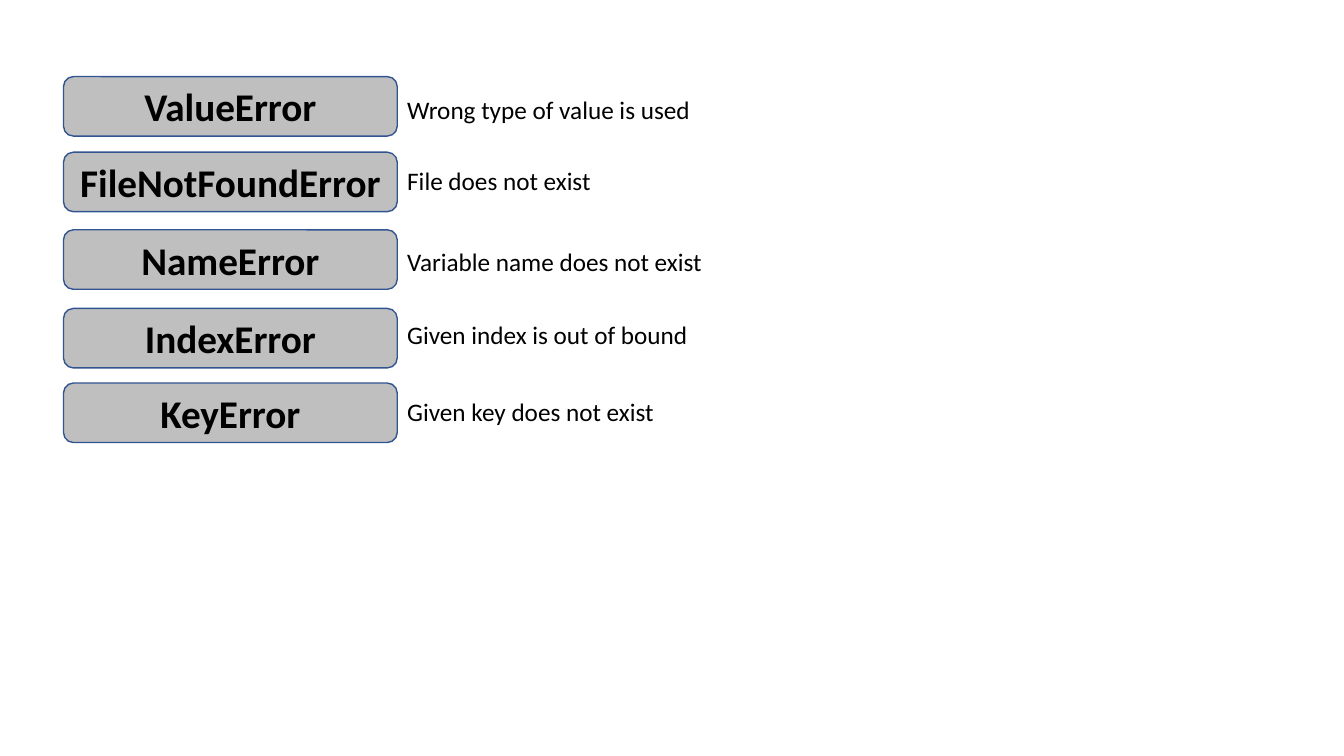
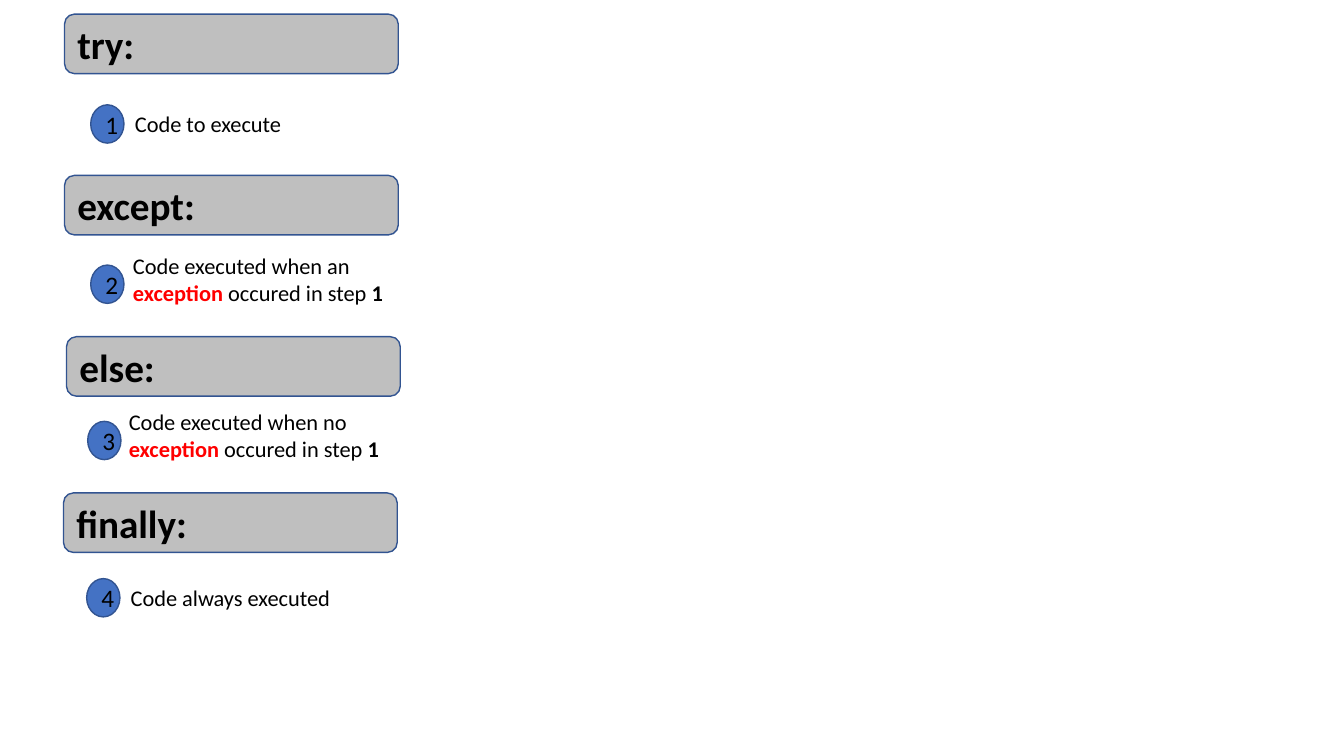
"""Build two slides on Python exceptions: common errors and the try statement."""
from pptx import Presentation
from pptx import util as u
from pptx.dml.color import RGBColor
from pptx.enum import shapes, text

BLACK, RED, GREY, BLUE, OUTLINE = "000000", "FF0000", "BFBFBF", "4472C4", "325491"
BAR, CIRCLE = shapes.MSO_SHAPE.ROUNDED_RECTANGLE, shapes.MSO_SHAPE.FLOWCHART_CONNECTOR
LEFT, CENTER = text.PP_ALIGN.LEFT, text.PP_ALIGN.CENTER
BAR_WIDTH, BAR_HEIGHT = 3.31, 0.59


def write(shape, runs, size, align=LEFT):
    shape.text_frame.word_wrap = True
    paragraph = shape.text_frame.paragraphs[0]
    paragraph.alignment = align
    for words, color, bold in runs:
        run = paragraph.add_run()
        run.text = words
        run.font.color.rgb = RGBColor.from_string(color)
        for name, value in {"name": "Calibri", "size": u.Pt(size), "bold": bold}.items():
            setattr(run.font, name, value)


def add_label(slide, kind, box, fill, label, size, bold, align):
    shape = slide.shapes.add_shape(kind, *map(u.Inches, box))
    shape.shadow.inherit = False
    shape.fill.solid()
    shape.fill.fore_color.rgb = RGBColor.from_string(fill)
    shape.line.color.rgb = RGBColor.from_string(OUTLINE)
    shape.line.width = u.Pt(1)
    shape.text_frame.vertical_anchor = text.MSO_ANCHOR.MIDDLE
    write(shape, [(label, BLACK, bold)], size, align)


presentation = Presentation()
presentation.slide_width = u.Inches(13.33)
presentation.slide_height = u.Inches(7.5)
blank = presentation.slide_layouts[6]

errors_slide = presentation.slides.add_slide(blank)
errors = [
    ("ValueError", 0.76, "Wrong type of value is used", 0.89),
    ("FileNotFoundError", 1.51, "File does not exist", 1.59),
    ("NameError", 2.28, "Variable name does not exist", 2.39),
    ("IndexError", 3.06, "Given index is out of bound", 3.12),
    ("KeyError", 3.8, "Given key does not exist", 3.88),
]
for error, bar_top, meaning, meaning_top in errors:
    bar = (0.63, bar_top, BAR_WIDTH, BAR_HEIGHT)
    add_label(errors_slide, BAR, bar, GREY, error, 28, True, CENTER)
    box = (0.63 + BAR_WIDTH, meaning_top, 3.21, 0.4)
    write(errors_slide.shapes.add_textbox(*map(u.Inches, box)), [(meaning, BLACK, False)], 18)

try_slide = presentation.slides.add_slide(blank)
exception_in_step = [("exception", RED, True), (" occured in step ", BLACK, False), ("1 ", BLACK, True)]
clauses = [
    ("try:", 0.64, 0.14, 0.9, 1.04,
     [("Code to execute", BLACK, False)], (1.24, 1.04, 1.95, 0.37), LEFT),
    ("except:", 0.64, 1.74, 0.9, 2.63,
     [("Code executed when an ", BLACK, False)] + exception_in_step, (1.22, 2.45, 3.13, 0.64), LEFT),
    ("else:", 0.66, 3.34, 0.87, 4.18,
     [("Code executed when no ", BLACK, False)] + exception_in_step, (1.18, 4, 3.13, 0.64), LEFT),
    ("finally:", 0.63, 4.89, 0.86, 5.74,
     [("Code always executed", BLACK, False)], (1.01, 5.75, 2.55, 0.37), CENTER),
]
for step, (clause, bar_left, bar_top, circle_left, circle_top, runs, box, align) in enumerate(clauses, 1):
    bar = (bar_left, bar_top, BAR_WIDTH, BAR_HEIGHT)
    add_label(try_slide, BAR, bar, GREY, clause, 28, True, LEFT)
    write(try_slide.shapes.add_textbox(*map(u.Inches, box)), runs, 16, align)
    circle = (circle_left, circle_top, 0.33, 0.38)
    add_label(try_slide, CIRCLE, circle, BLUE, str(step), 18, False, CENTER)

presentation.save("out.pptx")
